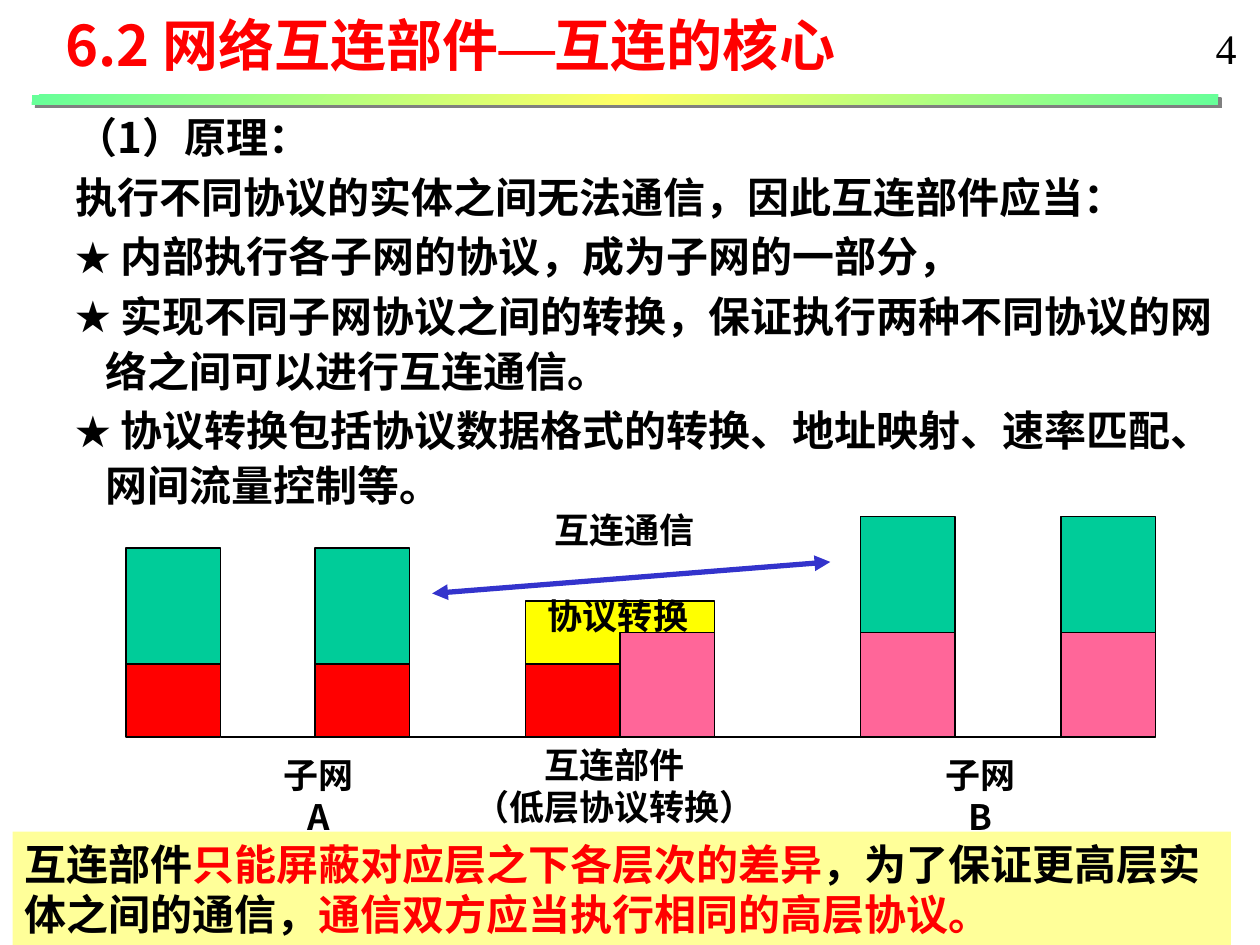
from lxml.etree import SubElement
from pptx import Presentation
from pptx.dml.color import RGBColor
from pptx.enum.shapes import MSO_CONNECTOR, MSO_SHAPE
from pptx.enum.text import MSO_ANCHOR, PP_ALIGN
from pptx.oxml import parse_xml
from pptx.oxml.ns import nsdecls, qn
from pptx.util import Inches, Pt

SANS, SERIF = "Noto Sans CJK SC", "Times New Roman"
BLACK, RED, GREEN, PINK, YELLOW = "000000", "FF0000", "00CC99", "FF6699", "FFFF00"

# Runs are (text, colour, font)
TITLE = [[("6.2 网络互连部件", RED, SANS), ("—", RED, SERIF), ("互连的核心", RED, SANS)]]
INTRODUCTION = ["（1）原理：", "执行不同协议的实体之间无法通信，因此互连部件应当："]
POINTS = [
    " 内部执行各子网的协议，成为子网的一部分，",
    " 实现不同子网协议之间的转换，保证执行两种不同协议的网络之间可以进行互连通信。",
    " 协议转换包括协议数据格式的转换、地址映射、速率匹配、网间流量控制等。",
]
CONCLUSION = [[
    ("互连部件", BLACK, SANS),
    ("只能屏蔽对应层之下各层次的差异", RED, SANS),
    ("，为了保证更高层实体之间的通信，", BLACK, SANS),
    ("通信双方应当执行相同的高层协议。", RED, SANS),
]]
# Lines, box, wrap
LABELS = [
    (["子网A"], (2.08, 6.1, 0.9, 0.43), True),
    (["子网B"], (7.33, 6.1, 0.9, 0.43), True),
    (["互连部件", "（低层协议转换）"], (3.58, 5.85, 2.6, 0.77), False),
    (["协议转换"], (4.25, 4.67, 1.31, 0.43), False),
    (["互连通信"], (4.3, 3.99, 1.31, 0.43), False),
]

# Protocol stacks stand on a common base line
BASE, COLUMN, UPPER = 5.85, 0.75, 0.92
LOWER = {RED: 0.58, PINK: 0.83}
HOSTS = [(1, RED), (2.5, RED), (6.83, PINK), (8.42, PINK)]
GATEWAY, CONVERTER_TOP = 4.17, 4.77


def rgb(value):
    return RGBColor.from_string(value)


def plain(lines):
    return [[(line, BLACK, SANS)] for line in lines]


def add_bullet(paragraph):
    properties = paragraph._p.get_or_add_pPr()
    properties.set("marL", str(Inches(0.24)))
    properties.set("indent", str(-Inches(0.24)))
    for tag, name, value in [("a:buSzPct", "val", "85000"),
                             ("a:buFont", "typeface", SANS),
                             ("a:buChar", "char", "★")]:
        SubElement(properties, qn(tag)).set(name, value)


def write(frame, paragraphs, size, bold=True, bullets_from=None, wrap=True,
          anchor=MSO_ANCHOR.TOP, **formats):
    frame.word_wrap = wrap
    frame.vertical_anchor = anchor
    for index, runs in enumerate(paragraphs):
        paragraph = frame.paragraphs[0] if index == 0 else frame.add_paragraph()
        for name, value in formats.items():
            if name != "space_before" or index:
                setattr(paragraph, name, value)
        if bullets_from is not None and index >= bullets_from:
            add_bullet(paragraph)
        for text, color, font in runs:
            run = paragraph.add_run()
            run.text = text
            for name, value in {"size": Pt(size), "bold": bold, "name": font}.items():
                setattr(run.font, name, value)
            run.font.color.rgb = rgb(color)
            SubElement(run._r.get_or_add_rPr(), qn("a:ea")).set("typeface", font)


def add_text(slide, box, paragraphs, size, **formats):
    shape = slide.shapes.add_textbox(*map(Inches, box))
    write(shape.text_frame, paragraphs, size, **formats)


def paint(shape, fill, outlined=True):
    shape.shadow.inherit = False
    shape.fill.solid()
    shape.fill.fore_color.rgb = rgb(fill)
    if outlined:
        shape.line.color.rgb = rgb(BLACK)
        shape.line.width = Pt(0.75)
    else:
        shape.line.fill.background()
    return shape


def add_box(slide, box, fill, outlined=True):
    shape = slide.shapes.add_shape(MSO_SHAPE.RECTANGLE, *map(Inches, box))
    return paint(shape, fill, outlined)


def add_layer(slide, left, bottom, height, fill):
    add_box(slide, (left, bottom - height, COLUMN, height), fill)


def add_line(slide, start, end, color, width, arrows=False):
    line = slide.shapes.add_connector(MSO_CONNECTOR.STRAIGHT, *map(Inches, start + end))
    line.line.color.rgb = rgb(color)
    line.line.width = Pt(width)
    if arrows:
        for tag in ("a:headEnd", "a:tailEnd"):
            SubElement(line.line._get_or_add_ln(), qn(tag)).set("type", "triangle")
    SubElement(line._element.spPr, qn("a:effectLst"))


def add_title_bar(slide):
    bar = add_box(slide, (0.25, 0.75, 9.42, 0.08), "66FF99", outlined=False)
    properties = bar._element.spPr
    stops = "".join(
        f'<a:gs pos="{share * 1000}"><a:srgbClr val="{color}"/></a:gs>'
        for share, color in [(0, "66FF99"), (50, "FFFF66"), (100, "66FF99")])
    gradient = parse_xml(
        f'<a:gradFill {nsdecls("a")} rotWithShape="1"><a:gsLst>{stops}</a:gsLst>'
        '<a:lin ang="2700000" scaled="1"/></a:gradFill>')
    properties.replace(properties.find(qn("a:solidFill")), gradient)
    shadow = parse_xml(
        f'<a:outerShdw {nsdecls("a")} dist="{Pt(2.8)}" dir="2700000" algn="ctr" '
        'rotWithShape="0"><a:srgbClr val="808080"/></a:outerShdw>')
    properties.find(qn("a:effectLst")).append(shadow)


def add_diagram(slide):
    for left, lower in HOSTS:
        add_layer(slide, left, BASE, LOWER[lower], lower)
        add_layer(slide, left, BASE - LOWER[lower], UPPER, GREEN)
    middle, right = GATEWAY + COLUMN, GATEWAY + 2 * COLUMN
    add_layer(slide, GATEWAY, BASE, LOWER[RED], RED)
    add_layer(slide, middle, BASE, LOWER[PINK], PINK)
    add_line(slide, (HOSTS[0][0] + COLUMN, BASE), (HOSTS[-1][0], BASE), BLACK, 0.75)

    red_top, pink_top = BASE - LOWER[RED], BASE - LOWER[PINK]
    outline = [(GATEWAY, red_top), (middle, red_top), (middle, pink_top),
               (right, pink_top), (right, CONVERTER_TOP), (GATEWAY, CONVERTER_TOP)]
    corners = [(Inches(x), Inches(y)) for x, y in outline]
    builder = slide.shapes.build_freeform(*corners[0])
    builder.add_line_segments(corners[1:], close=True)
    paint(builder.convert_to_shape(), YELLOW)

    for lines, box, wrap in LABELS:
        add_text(slide, box, plain(lines), 20, wrap=wrap, anchor=MSO_ANCHOR.MIDDLE,
                 alignment=PP_ALIGN.CENTER, line_spacing=Pt(24))
    add_line(slide, (3.43, 4.71), (6.59, 4.46), "3333CC", 3, arrows=True)


def main():
    presentation = Presentation()
    presentation.slide_width, presentation.slide_height = Inches(10), Inches(7.5)
    slide = presentation.slides.add_slide(presentation.slide_layouts[6])

    add_text(slide, (0.42, 0.03, 7.02, 0.63), TITLE, 32, line_spacing=Pt(38.5))
    add_text(slide, (0.5, 0.8, 9.25, 3.34), plain(INTRODUCTION + POINTS), 24,
             bullets_from=len(INTRODUCTION), line_spacing=Pt(31.5), space_before=Pt(2.5))
    add_diagram(slide)
    add_text(slide, (9.55, 0.13, 0.37, 0.5), [[("4", BLACK, SERIF)]], 24,
             bold=False, wrap=False)
    add_title_bar(slide)
    conclusion = add_box(slide, (0.1, 6.6, 9.67, 0.9), "FFFF99", outlined=False)
    write(conclusion.text_frame, CONCLUSION, 24, alignment=PP_ALIGN.LEFT,
          line_spacing=Pt(29))
    presentation.save("out.pptx")


if __name__ == "__main__":
    main()
